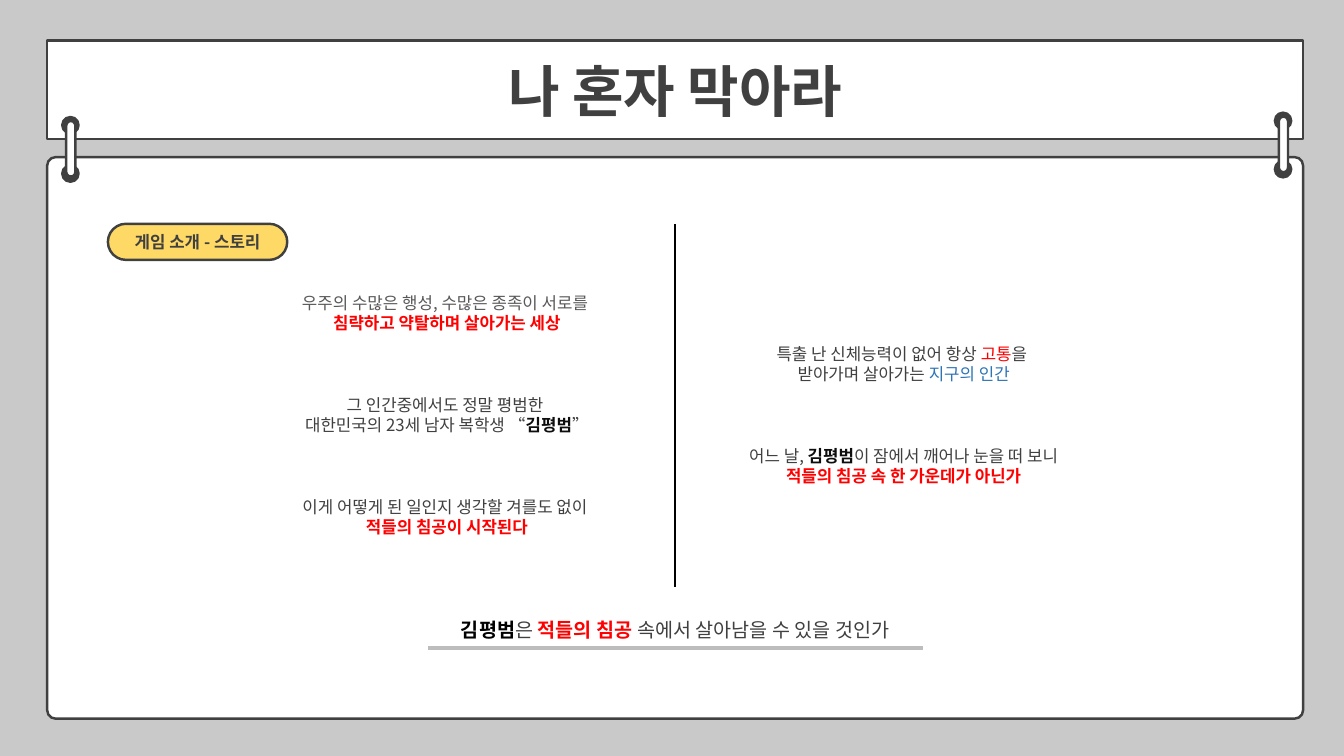
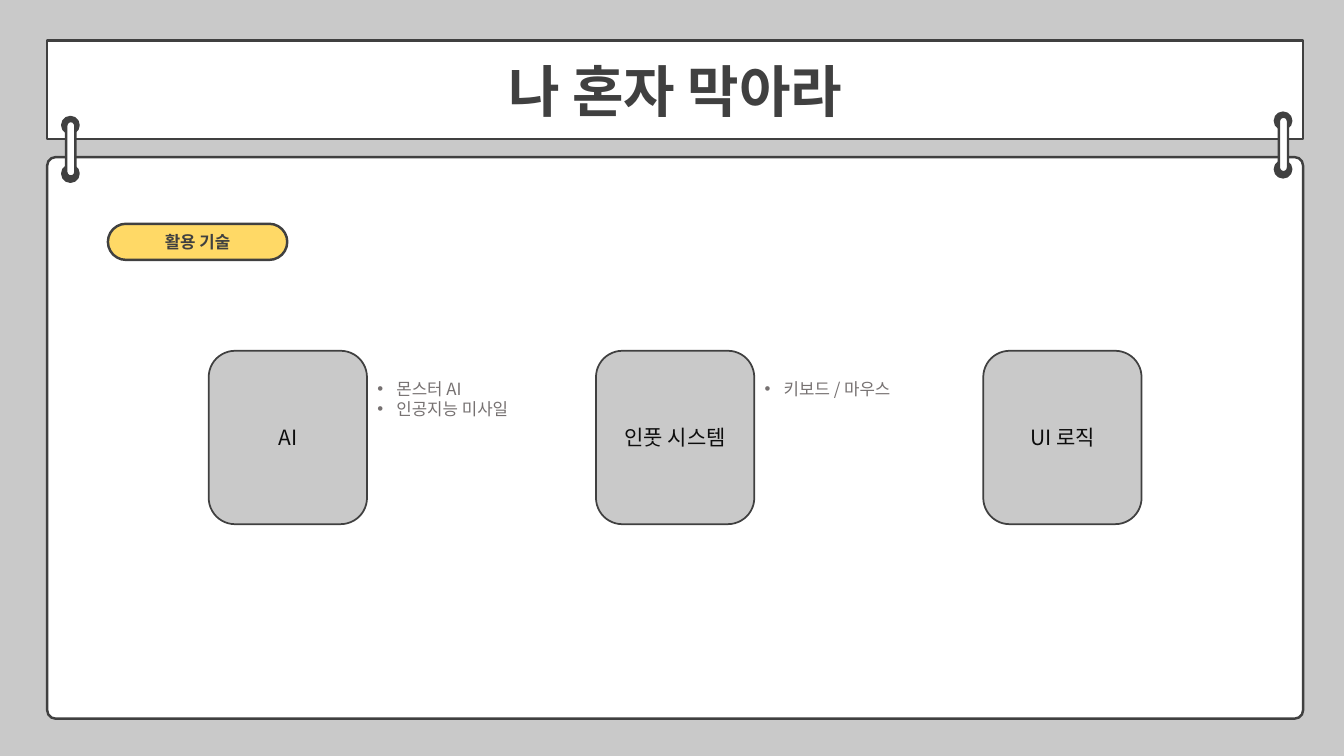
from pptx import Presentation, util as u
from pptx.dml.color import RGBColor
from pptx.enum import shapes, text
from pptx.oxml import parse_xml
from pptx.oxml.ns import nsdecls, qn

FONT = "Noto Sans CJK KR"
GRAY, DARK, WHITE, YELLOW = "C9C9C9", "404040", "FFFFFF", "FFD966"
RED, BLUE, BLACK, INK = "FF0000", "2E75B6", "000000", "0D0D0D"
MID, BULLET = "595959", "767171"
ROUND = shapes.MSO_SHAPE.ROUNDED_RECTANGLE
RECT = shapes.MSO_SHAPE.RECTANGLE
CENTER = text.PP_ALIGN.CENTER
TITLE = "나 혼자 막아라"

NAME = ("김평범", INK, True)
STORY = [
    [["우주의 수많은 행성, 수많은 종족이 서로를 "],
     [("침략하고 약탈하며 살아가는 세상", RED, True)]],
    [["특출 난 신체능력이 없어 항상 ", ("고통", RED, False), "을 "],
     ["받아가며 살아가는 ", ("지구의 인간", BLUE, False)]],
    [["그 인간중에서도 정말 평범한 "],
     ["대한민국의 23세 남자 복학생 “", NAME, "”"]],
    [["어느 날, ", NAME, "이 잠에서 깨어나 눈을 떠 보니 ",
      ("적들의 침공 속 한 가운데가 아닌가", RED, True)]],
    [["이게 어떻게 된 일인지 생각할 겨를도 없이 "],
     [("적들의 침공이 시작된다", RED, True)]],
]
CLOSING = [[("김평범", BLACK, True), "은 ", ("적들의 침공 ", RED, True),
            "속에서 살아남을 수 있을 것인가"]]
SKILLS = [
    ("AI", ["몬스터 AI", "인공지능 미사일"]),
    ("인풋 시스템", ["키보드 / 마우스"]),
    ("UI 로직", []),
]


def rgb(color):
    return RGBColor.from_string(color)


def cm(*values):
    return [u.Cm(v) for v in values]


def write(sp, paragraphs, size=12, color=DARK, bold=False, align=CENTER, bullet=False):
    tf = sp.text_frame
    tf.word_wrap = True
    for i, runs in enumerate(paragraphs):
        p = tf.add_paragraph() if i else tf.paragraphs[0]
        p.alignment = align
        for item in runs:
            words, run_color, run_bold = (item, color, bold) if isinstance(item, str) else item
            r = p.add_run()
            r.text = words
            r.font.size = u.Pt(size)
            r.font.bold = run_bold
            r.font.color.rgb = rgb(run_color)
            r.font.name = FONT
    for latin in list(sp.element.iter(qn("a:latin"))):
        latin.addnext(parse_xml(f'<a:ea {nsdecls("a")} typeface="{FONT}"/>'))
    if bullet:
        for p in sp.element.iter(qn("a:p")):
            pr = p.get_or_add_pPr()
            pr.set("marL", str(u.Cm(0.48)))
            pr.set("indent", str(u.Cm(-0.48)))
            pr.append(parse_xml(f'<a:buFont {nsdecls("a")} typeface="Arial"/>'))
            pr.append(parse_xml(f'<a:buChar {nsdecls("a")} char="•"/>'))


def paint(sp, fill, line=DARK, width=1.75):
    sp.fill.solid()
    sp.fill.fore_color.rgb = rgb(fill)
    sp.line.color.rgb = rgb(line)
    sp.line.width = u.Pt(width)


def box(parent, at, fill, kind=ROUND, radius=None, line=DARK, width=1.75):
    sp = parent.shapes.add_shape(kind, *cm(*at))
    sp.shadow.inherit = False
    paint(sp, fill, line, width)
    if radius is not None:
        sp.adjustments[0] = radius
    sp.text_frame.vertical_anchor = text.MSO_ANCHOR.MIDDLE
    return sp


def text_box(s, at, paragraphs, **style):
    sp = s.shapes.add_textbox(*cm(*at))
    write(sp, paragraphs, **style)
    sp.text_frame.auto_size = text.MSO_AUTO_SIZE.SHAPE_TO_FIT_TEXT


def title_band(s):
    sp = s.shapes.title
    sp.left, sp.top, sp.width, sp.height = cm(1.19, 1.02, 31.65, 2.49)
    sp.element.spPr.insert(1, parse_xml(
        f'<a:prstGeom {nsdecls("a")} prst="roundRect"><a:avLst>'
        '<a:gd name="adj" fmla="val 8900"/></a:avLst></a:prstGeom>'))
    paint(sp, WHITE)
    write(sp, [[TITLE]], size=40, bold=True)
    sp.text_frame.auto_size = text.MSO_AUTO_SIZE.NONE
    sp.text_frame.vertical_anchor = text.MSO_ANCHOR.MIDDLE


def ring(s, left, top):
    group = s.shapes.add_group_shape()
    for hole_top in (top, top + 1.22):
        box(group, (left, hole_top, 0.41, 0.41), DARK, radius=0.5)
    box(group, (left + 0.1, top + 0.1, 0.23, 1.4), WHITE, radius=0.5)


def divider(s, x, top, bottom):
    line = s.shapes.add_connector(shapes.MSO_CONNECTOR.STRAIGHT, *cm(x, top, x, bottom))
    line.line.color.rgb = rgb(BLACK)
    line.line.width = u.Pt(1.5)
    line.element.spPr.append(parse_xml(f'<a:effectLst {nsdecls("a")}/>'))


def underline(s, at):
    sp = box(s, at, "7C7C7C", kind=RECT, line=WHITE, width=1)
    color = sp.element.spPr.find(qn("a:solidFill")).find(qn("a:srgbClr"))
    color.append(parse_xml(f'<a:alpha {nsdecls("a")} val="50000"/>'))


def add_page(prs, label):
    s = prs.slides.add_slide(prs.slide_layouts[5])
    title_band(s)
    box(s, (1.19, 3.96, 31.65, 14.15), WHITE, radius=0.015)
    ring(s, 1.57, 2.95)
    ring(s, 32.13, 2.84)
    write(box(s, (2.72, 5.64, 4.52, 0.91), YELLOW, radius=0.5), [[label]], bold=True)
    return s


def story_slide(prs):
    s = add_page(prs, "게임 소개 - 스토리")
    divider(s, 17.02, 5.64, 14.78)
    for i, paragraphs in enumerate(STORY):
        left = 18.01 if i % 2 else 6.5
        text_box(s, (left, 7.26 + 1.28 * i, 9.53, 1.28), paragraphs,
                 color=DARK if i else MID)
    text_box(s, (10.57, 15.44, 12.9, 0.87), CLOSING, size=14)
    underline(s, (10.77, 16.26, 12.5, 0.13))


def skills_slide(prs):
    s = add_page(prs, "활용 기술")
    for i, (name, details) in enumerate(SKILLS):
        left = 5.26 + 9.76 * i
        card = box(s, (left, 8.84, 3.99, 4.37), GRAY, width=1.25)
        write(card, [[name]], size=15, color=INK)
        if details:
            text_box(s, (left + 4, 9.42, 4.52, 0.25 + 0.51 * len(details)),
                     [[d] for d in details], color=BULLET,
                     align=text.PP_ALIGN.LEFT, bullet=True)


def main():
    prs = Presentation()
    prs.slide_width, prs.slide_height = cm(33.87, 19.05)
    background = prs.slide_master.background.fill
    background.solid()
    background.fore_color.rgb = rgb(GRAY)
    story_slide(prs)
    skills_slide(prs)
    prs.save("out.pptx")


main()
